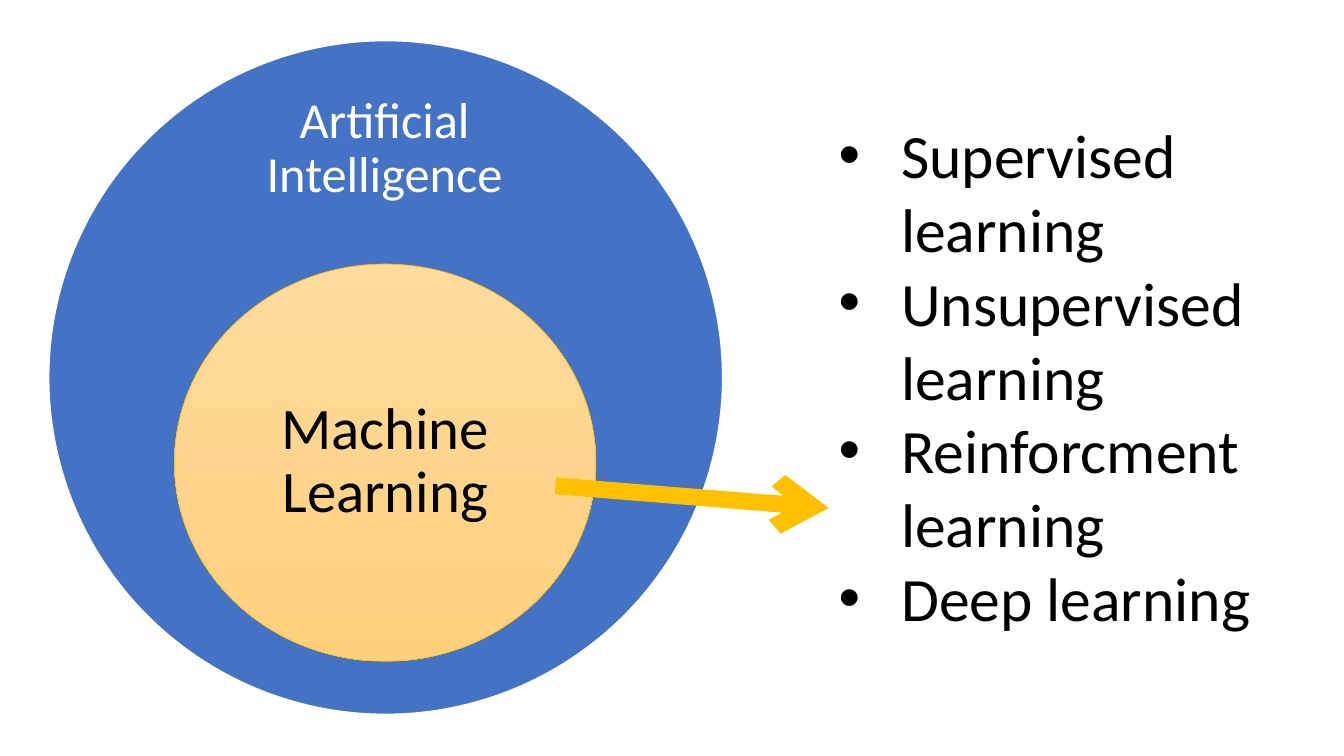
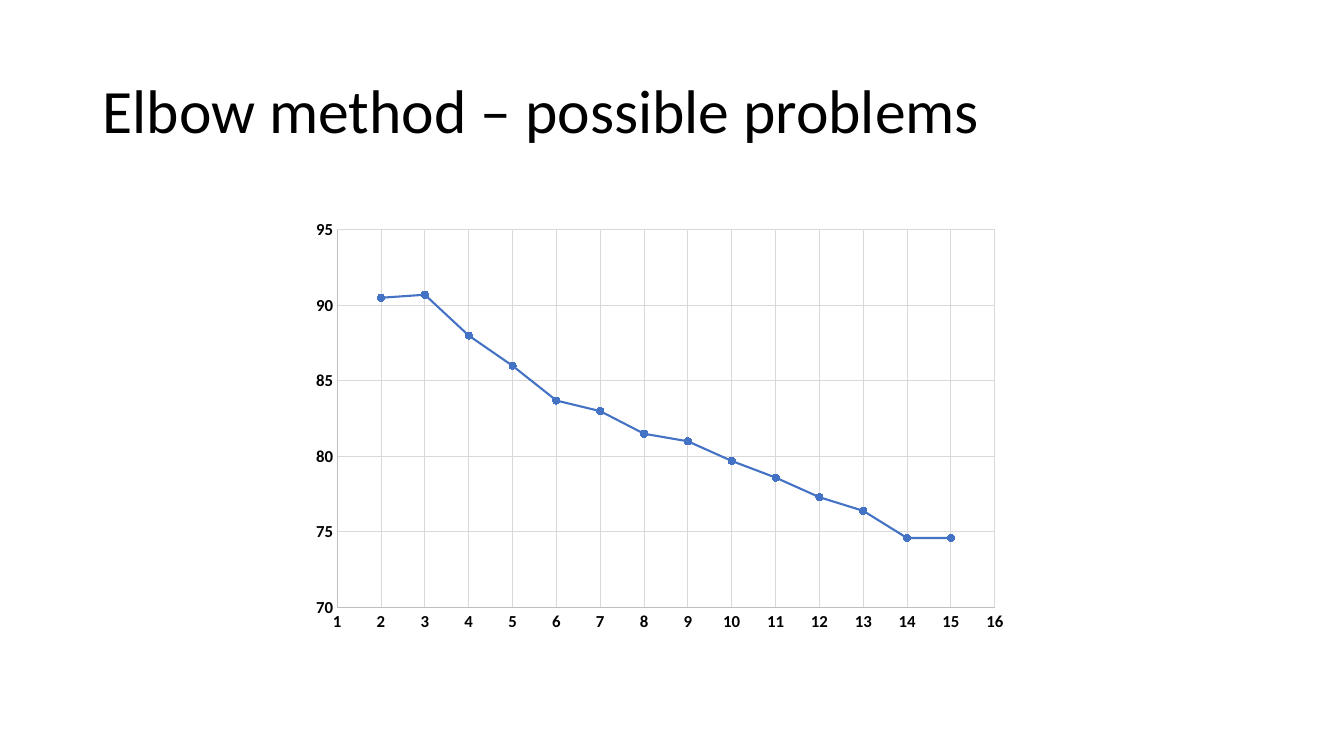
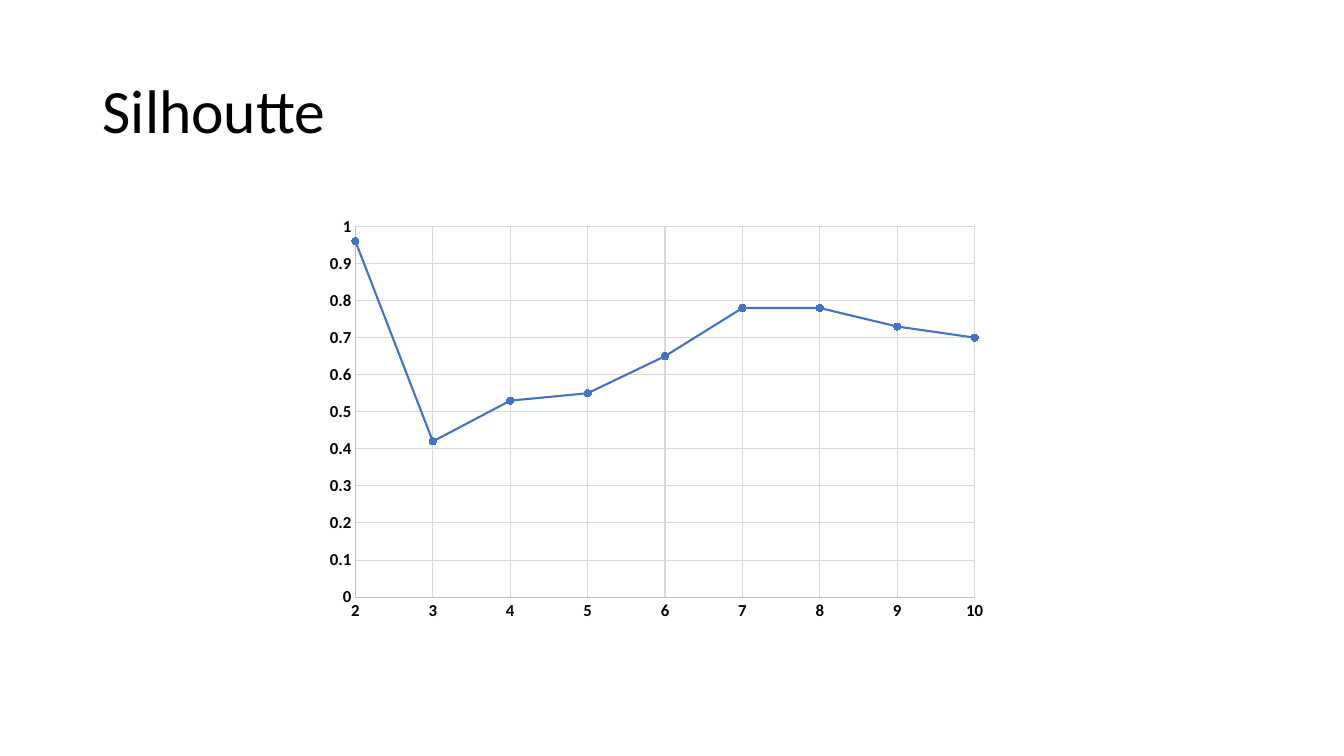
from dataclasses import dataclass
from typing import Optional

from pptx import Presentation
from pptx.chart.data import XyChartData
from pptx.dml.color import RGBColor
from pptx.enum.chart import XL_CHART_TYPE, XL_MARKER_STYLE, XL_TICK_MARK
from pptx.enum.shapes import MSO_CONNECTOR, MSO_SHAPE
from pptx.enum.text import MSO_ANCHOR, PP_ALIGN
from pptx.oxml import parse_xml
from pptx.oxml.ns import nsdecls
from pptx.oxml.xmlchemy import OxmlElement
from pptx.util import Inches, Pt

FONT = "Calibri"
BLUE = RGBColor(0x44, 0x72, 0xC4)
GOLD = RGBColor(0xFF, 0xC0, 0x00)
LIGHT_ORANGE = RGBColor(0xFF, 0xDB, 0x9E)
DARK_ORANGE = RGBColor(0xFF, 0xD0, 0x7C)
WHITE = RGBColor(0xFF, 0xFF, 0xFF)
BLACK = RGBColor(0x00, 0x00, 0x00)
AXIS_GREY = RGBColor(0xBF, 0xBF, 0xBF)
GRID_GREY = RGBColor(0xD9, 0xD9, 0xD9)

LEARNING_KINDS = [
    "Supervised learning",
    "Unsupervised learning",
    "Reinforcment learning",
    "Deep learning",
]


@dataclass
class Area:
    left: float
    top: float
    width: float
    height: float

    def inches(self):
        return [Inches(n) for n in (self.left, self.top, self.width, self.height)]


@dataclass
class AxisRange:
    low: float
    high: float
    step: float


@dataclass
class CurveSlide:
    title: str
    area: Area
    plot: Area  # fractions of the chart area
    x_range: AxisRange
    y_range: AxisRange
    values: list[float]  # for 2, 3, 4 ... clusters


CURVES = [
    CurveSlide(
        "Elbow method – possible problems",
        Area(2.99, 2.11, 7.09, 4.26), Area(0.05, 0.04, 0.92, 0.88),
        AxisRange(1, 16, 1), AxisRange(70, 95, 5),
        [90.5, 90.7, 88, 86, 83.7, 83, 81.5, 81, 79.7, 78.6, 77.3, 76.4, 74.6, 74.6],
    ),
    CurveSlide(
        "Silhoutte",
        Area(3.12, 2.08, 6.75, 4.18), Area(0.06, 0.04, 0.91, 0.88),
        AxisRange(2, 10, 1), AxisRange(0, 1, 0.1),
        [0.96, 0.42, 0.53, 0.55, 0.65, 0.78, 0.78, 0.73, 0.7],
    ),
]


def add_text(page, area: Area, lines: list[str], size: float, color: RGBColor = BLACK,
             align=PP_ALIGN.LEFT, anchor=MSO_ANCHOR.MIDDLE, spacing: Optional[float] = 0.9,
             inset: Optional[float] = None, bullet_indent: float = 0):
    box = page.shapes.add_textbox(*area.inches())
    frame = box.text_frame
    frame.word_wrap = True
    frame.vertical_anchor = anchor
    if inset is not None:
        frame.margin_left = frame.margin_right = Inches(inset)
        frame.margin_top = frame.margin_bottom = Inches(inset)
    frame.text = "\n".join(lines)
    for para in frame.paragraphs:
        if bullet_indent:
            add_bullet(para, bullet_indent)
        para.alignment = align
        para.line_spacing = spacing
        for span in para.runs:
            span.font.name = FONT
            span.font.size = Pt(size)
            span.font.color.rgb = color


def add_bullet(para, indent: float):
    properties = para._p.get_or_add_pPr()
    properties.set("marL", str(Inches(indent)))
    properties.set("indent", str(-Inches(indent)))
    font = OxmlElement("a:buFont")
    font.set("typeface", "Arial")
    bullet = OxmlElement("a:buChar")
    bullet.set("char", "•")
    properties.extend([font, bullet])


def add_circle(page, area: Area, line_color: RGBColor, line_width: float):
    circle = page.shapes.add_shape(MSO_SHAPE.OVAL, *area.inches())
    circle.shadow.inherit = False
    circle.line.color.rgb = line_color
    circle.line.width = Pt(line_width)
    return circle


def add_arrow(page, start: tuple[float, float], end: tuple[float, float]):
    points = [Inches(n) for n in (*start, *end)]
    arrow = page.shapes.add_connector(MSO_CONNECTOR.STRAIGHT, *points)
    arrow.line.color.rgb = GOLD
    arrow.line.width = Pt(12)
    head = OxmlElement("a:tailEnd")
    head.set("type", "arrow")
    arrow.line._get_or_add_ln().append(head)
    arrow._element.spPr.append(OxmlElement("a:effectLst"))


def style_axis(axis, limits: AxisRange):
    axis.minimum_scale = limits.low
    axis.maximum_scale = limits.high
    axis.major_unit = limits.step
    axis.major_tick_mark = axis.minor_tick_mark = XL_TICK_MARK.NONE
    axis.has_major_gridlines = True
    for line, color in ((axis.format.line, AXIS_GREY),
                        (axis.major_gridlines.format.line, GRID_GREY)):
        line.color.rgb = color
        line.width = Pt(0.75)
    labels = axis.tick_labels
    labels.number_format = "General"
    labels.number_format_is_linked = False
    labels.font.name = FONT
    labels.font.size = Pt(12)
    labels.font.bold = True
    labels.font.color.rgb = BLACK


def place_plot(chart, plot: Area):
    plot_area = chart._chartSpace.chart.plotArea
    for layout in plot_area.findall(plot_area.tag.replace("plotArea", "layout")):
        plot_area.remove(layout)
    plot_area.insert(0, parse_xml(
        f'<c:layout {nsdecls("c")}><c:manualLayout><c:layoutTarget val="inner"/>'
        f'<c:xMode val="edge"/><c:yMode val="edge"/>'
        f'<c:x val="{plot.left}"/><c:y val="{plot.top}"/>'
        f'<c:w val="{plot.width}"/><c:h val="{plot.height}"/>'
        f'</c:manualLayout></c:layout>'))


def add_curve(page, curve: CurveSlide):
    data = XyChartData()
    points = data.add_series("Series 1")
    for clusters, value in enumerate(curve.values, start=2):
        points.add_data_point(clusters, value)
    chart = page.shapes.add_chart(
        XL_CHART_TYPE.XY_SCATTER_SMOOTH, *curve.area.inches(), data).chart
    chart.has_title = False
    chart.has_legend = False
    chart.font.name = FONT
    chart.font.size = Pt(10)
    chart.font.color.rgb = BLACK
    style_axis(chart.category_axis, curve.x_range)
    style_axis(chart.value_axis, curve.y_range)
    place_plot(chart, curve.plot)

    chart.plots[0].vary_by_categories = False
    series = chart.plots[0].series[0]
    series.smooth = True
    series.format.line.color.rgb = BLUE
    series.format.line.width = Pt(1.5)
    marker = series.marker
    marker.style = XL_MARKER_STYLE.CIRCLE
    marker.size = 5
    marker.format.fill.solid()
    marker.format.fill.fore_color.rgb = BLUE
    marker.format.line.color.rgb = BLUE


def build_overview(page):
    # Nested circles
    outer = add_circle(page, Area(0.48, 0.4, 6.69, 6.69), WHITE, 1.5)
    outer.fill.solid()
    outer.fill.fore_color.rgb = BLUE
    add_text(page, Area(2.06, 0.91, 3.51, 1.14), ["Artificial Intelligence"], 36, WHITE,
             align=PP_ALIGN.CENTER, inset=0.28)
    inner = add_circle(page, Area(1.73, 2.62, 4.18, 3.94), GOLD, 0.5)
    inner.fill.gradient()
    inner.fill.gradient_angle = 270
    for stop, color in zip(inner.fill.gradient_stops, (LIGHT_ORANGE, DARK_ORANGE)):
        stop.color.rgb = color
    add_text(page, Area(2.34, 3.6, 2.96, 1.97), ["Machine Learning"], 42,
             align=PP_ALIGN.CENTER, inset=0.33)

    # Kinds of machine learning
    add_text(page, Area(8.22, 1.11, 4.93, 5.28), LEARNING_KINDS, 44,
             anchor=MSO_ANCHOR.TOP, spacing=None, bullet_indent=0.62)
    add_arrow(page, (5.51, 4.82), (8.22, 5.04))


def main():
    deck = Presentation()
    deck.slide_width, deck.slide_height = Inches(13.33), Inches(7.5)
    blank = deck.slide_layouts[6]
    build_overview(deck.slides.add_slide(blank))
    for curve in CURVES:
        page = deck.slides.add_slide(blank)
        add_text(page, Area(0.92, 0.4, 11.5, 1.45), [curve.title], 44)
        add_curve(page, curve)
    deck.save("out.pptx")


if __name__ == "__main__":
    main()
